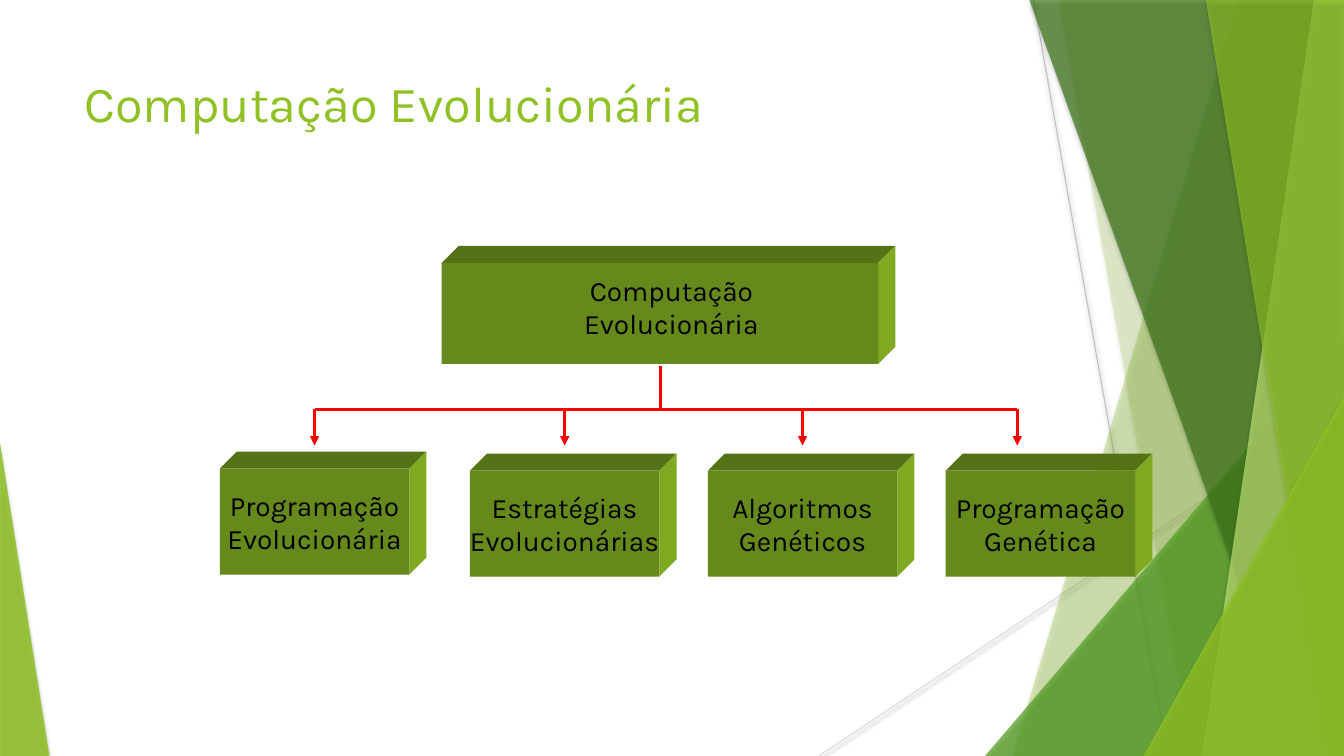
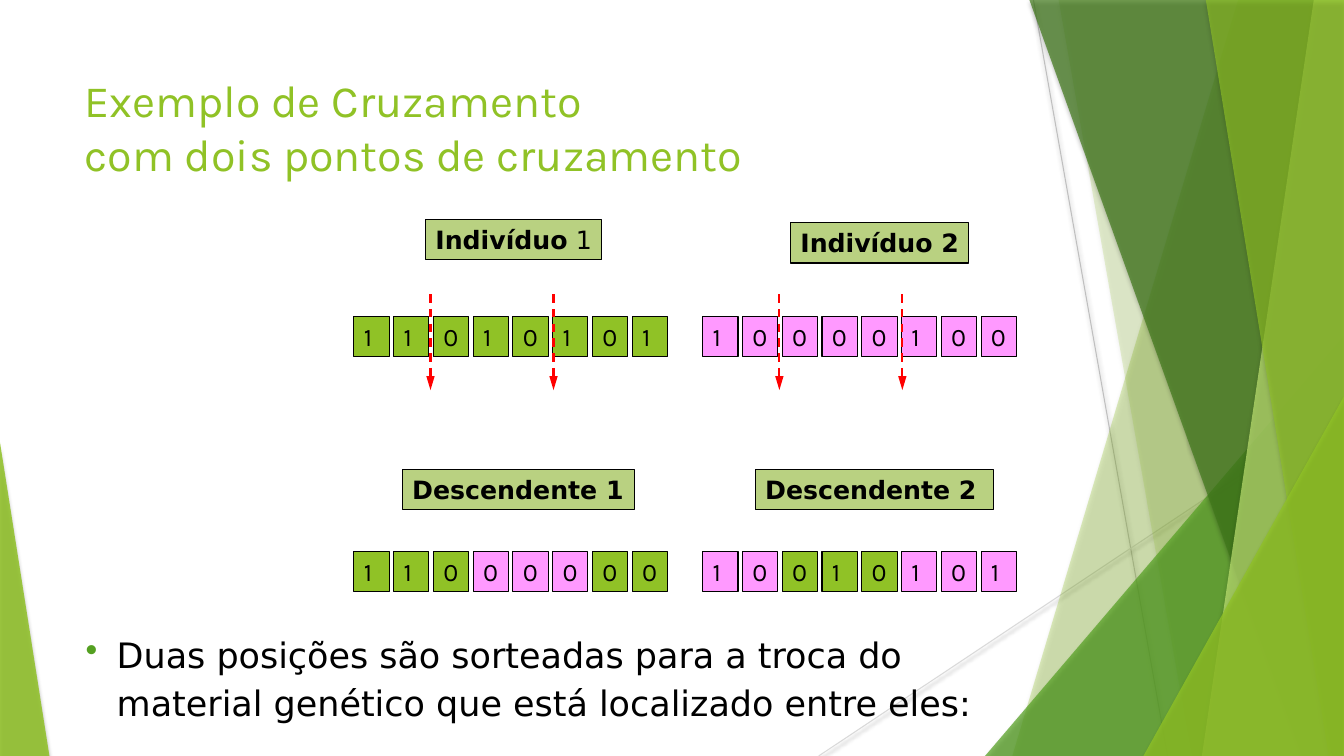
from lxml.etree import SubElement
from pptx import Presentation
from pptx.dml.color import RGBColor
from pptx.enum.dml import MSO_LINE
from pptx.enum.shapes import MSO_CONNECTOR, MSO_SHAPE
from pptx.enum.text import MSO_ANCHOR, PP_ALIGN
from pptx.oxml.ns import qn
from pptx.util import Inches, Pt

RECTANGLE, TRIANGLE = MSO_SHAPE.RECTANGLE, MSO_SHAPE.ISOSCELES_TRIANGLE
STRAIGHT, DASH = MSO_CONNECTOR.STRAIGHT, MSO_LINE.DASH
LEFT, CENTER = PP_ALIGN.LEFT, PP_ALIGN.CENTER
TOP, MIDDLE = MSO_ANCHOR.TOP, MSO_ANCHOR.MIDDLE
TEXT, POLYGON = "text", "polygon"

COLORS = {
    "lime": "90C226", "leaf": "54A021", "forest": "3F7819", "pale": "C0E474",
    "front": "65891B", "roof": "547317", "side": "7EA920",
    "label": "B9D181", "pink": "FF99FF", "red": "FF0000",
    "gray": "BFBFBF", "light gray": "D9D9D9", "black": "000000",
}
PALETTE = {name: RGBColor.from_string(code) for name, code in COLORS.items()}

# Text formats
TITLE = {"name": "Karla", "size": 36, "color": "lime"}
NODE = {"name": "Karla", "size": 20, "align": CENTER}
GENE = {"name": "Karla", "size": 18}
LABEL = {"name": "DejaVu Sans", "size": 18, "bold": True}
BODY = {"name": "DejaVu Sans", "size": 25}


def add_figure(page, form, place, fill=None, alpha=100, outline=None,
               lines=(), style=GENE):
    """Add a text box, polygon or preset; each line is a list of spans."""
    if form == POLYGON:
        points = [(Inches(x), Inches(y)) for x, y in place]
        builder = page.shapes.build_freeform(*points[0], scale=1.0)
        builder.add_line_segments(points[1:], close=True)
        figure = builder.convert_to_shape()
    elif form == TEXT:
        figure = page.shapes.add_textbox(*map(Inches, place))
    else:
        figure = page.shapes.add_shape(form, *map(Inches, place))
    figure.shadow.inherit = False
    if fill:
        figure.fill.solid()
        figure.fill.fore_color.rgb = PALETTE[fill]
        if alpha < 100:
            color = figure.element.spPr.find(qn("a:solidFill"))[0]
            SubElement(color, qn("a:alpha"), val=str(alpha * 1000))
    if outline:
        figure.line.color.rgb = PALETTE[outline]
        figure.line.width = Pt(0.75)
    else:
        figure.line.fill.background()
    frame = figure.text_frame
    frame.word_wrap = form == TEXT
    frame.vertical_anchor = TOP if form == TEXT else MIDDLE
    for index, spans in enumerate(lines):
        para = frame.add_paragraph() if index else frame.paragraphs[0]
        para.alignment = style.get("align", LEFT)
        for words in spans:
            span = para.add_run()
            span.text = words
            values = {"name": style["name"], "size": Pt(style["size"]),
                      "bold": style.get("bold", False)}
            for name, value in values.items():
                setattr(span.font, name, value)
            span.font.color.rgb = PALETTE[style.get("color", "black")]
    return figure


def add_line(page, ends, color, width, head=None, dash=None):
    """Add a straight line; head gives the length of its arrowhead."""
    line = page.shapes.add_connector(STRAIGHT, *map(Inches, ends))
    line.line.color.rgb = PALETTE[color]
    line.line.width = Pt(width)
    if dash:
        line.line.dash_style = dash
    if head:
        SubElement(line.element.spPr.find(qn("a:ln")), qn("a:tailEnd"),
                   type="triangle", w="med", len=head)
    SubElement(line.element.spPr, qn("a:effectLst"))


deck = Presentation()
deck.slide_width, deck.slide_height = Inches(13.33), Inches(7.5)

# Shared background: corner lines, then translucent bands from back to front
corner_lines = [((10.25, 0, 11.58, 7.5), "gray"),
                ((13.33, 4.03, 8.12, 7.5), "light gray")]
# A band is given by its left edge (top x, bottom x), a triangle by its frame
bands = [
    (POLYGON, (12.28, 10.04), "lime", 30),
    (POLYGON, (10.5, 11.82), "lime", 20),
    (TRIANGLE, (9.77, 3.33, 3.56, 4.17), "leaf", 72),
    (POLYGON, (10.21, 12.91), "forest", 70),
    (POLYGON, (13.03, 11.92), "pale", 70),
    (POLYGON, (11.96, 13.18), "lime", 65),
    (TRIANGLE, (11.34, 3.93, 1.99, 3.57), "lime", 80),
    (TRIANGLE, (0, 4.39, 0.49, 3.11), "lime", 85),
]
titles = [
    ([["Computação Evolucionária"]], 36),
    ([["Exemplo de Cruzamento"], ["com dois pontos de cruzamento"]], 32),
]
pages = []
for title_lines, size in titles:
    page = deck.slides.add_slide(deck.slide_layouts[6])
    for ends, color in corner_lines:
        add_line(page, ends, color, 0.75)
    for form, place, color, alpha in bands:
        if form == POLYGON:
            top_x, bottom_x = place
            place = [(top_x, 0), (13.33, 0), (13.33, 7.5), (bottom_x, 7.5)]
        band = add_figure(page, form, place, color, alpha)
        if form == TRIANGLE:
            band.adjustments[0] = 1 if place[0] else 0
    # Every background part casts a soft shadow
    for part in page.shapes:
        effects = part.element.spPr.find(qn("a:effectLst"))
        cast = SubElement(effects, qn("a:outerShdw"), blurRad=str(Pt(3)),
                          dist=str(Pt(2)), dir="5400000", rotWithShape="0")
        black = SubElement(cast, qn("a:srgbClr"), val=COLORS["black"])
        SubElement(black, qn("a:alpha"), val="35000")
    add_figure(page, TEXT, (0.74, 0.67, 9.4, 1.44), lines=title_lines,
               style={**TITLE, "size": size})
    pages.append(page)
tree_page, crossover_page = pages

# Slide 1: blocks with a roof and a right side
depth = 0.17
blocks = [
    ((4.38, 2.61, 4.33, 1), []),
    ((2.18, 4.65, 1.88, 1.05), [["Programação"], ["Evolucionária"]]),
    ((4.66, 4.67, 1.88, 1.05), [["Estratégias"], ["Evolucionárias"]]),
    ((7.02, 4.67, 1.88, 1.05), [["Algoritmos"], ["Genéticos"]]),
    ((9.38, 4.67, 1.88, 1.05), [["Programação"], ["Genética"]]),
]
for place, lines in blocks:
    left, top, width, height = place
    right, bottom = left + width, top + height
    back_corner = (right + depth, top - depth)
    roof = [(left, top), (left + depth, top - depth), back_corner, (right, top)]
    side = [(right, top), back_corner,
            (right + depth, bottom - depth), (right, bottom)]
    add_figure(tree_page, POLYGON, roof, "roof")
    add_figure(tree_page, POLYGON, side, "side")
    add_figure(tree_page, RECTANGLE, place, "front", lines=lines, style=NODE)
add_figure(tree_page, TEXT, (5.16, 2.66, 3, 0.77),
           lines=[["Computação Evolucionária"]], style=NODE)

# Slide 1: branches
branches = [3.12, 5.6, 7.96, 10.09]
rail = 4.06
add_line(tree_page, (branches[0], rail, branches[-1], rail), "red", 2.25)
add_line(tree_page, (6.55, 3.63, 6.55, rail), "red", 2.25)
for x in branches:
    add_line(tree_page, (x, rail, x, 4.42), "red", 2.25, head="med")

# Slide 2: chromosomes, with the parent (G green, P pink) of each gene
pitch = 2.76 / 7
chromosomes = [
    (3.51, 3.14, "11010101", "GGGGGGGG"),
    (6.97, 3.14, "10000100", "PPPPPPPP"),
    (3.51, 5.47, "11000000", "GGGPPPGG"),
    (6.97, 5.47, "10010101", "PPGGGPPP"),
]
parent_fills = {"G": "lime", "P": "pink"}
for left, top, genes, parents in chromosomes:
    for index, (gene, parent) in enumerate(zip(genes, parents)):
        add_figure(crossover_page, RECTANGLE,
                   (left + index * pitch, top, 0.35, 0.4),
                   parent_fills[parent], outline="black", lines=[[gene]])

# Slide 2: labels; a second span is plain
labels = [
    ((4.22, 2.18, 1.75, 0.4), ["Indivíduo", " 1"]),
    ((7.84, 2.21, 1.77, 0.4), ["Indivíduo 2"]),
    ((3.99, 4.66, 2.3, 0.4), ["Descendente 1"]),
    ((7.49, 4.66, 2.36, 0.4), ["Descendente 2"]),
]
for place, spans in labels:
    label = add_figure(crossover_page, RECTANGLE, place, "label",
                       outline="black", lines=[spans], style=LABEL)
    for span in label.text_frame.paragraphs[0].runs[1:]:
        span.font.bold = False

# Slide 2: cut points
for x in (4.27, 5.49, 7.73, 8.95):
    add_line(crossover_page, (x, 2.92, x, 3.87), "red", 1.5, "lg", DASH)

# Slide 2: bulleted explanation
body = add_figure(
    crossover_page, TEXT, (0.25, 6.17, 9.57, 0.91), style=BODY,
    lines=[["Duas posições são sorteadas para a troca do material genético "
            "que está localizado entre eles:"]])
para = body.text_frame.paragraphs[0]
para.line_spacing = 1.15
bullet = para._p.get_or_add_pPr()
bullet.set("marL", str(Inches(0.81)))
bullet.set("indent", str(Inches(-0.31)))
bullet_color = SubElement(bullet, qn("a:buClr"))
SubElement(bullet_color, qn("a:srgbClr"), val=COLORS["leaf"])
SubElement(bullet, qn("a:buChar"), char="•")

deck.save("out.pptx")
